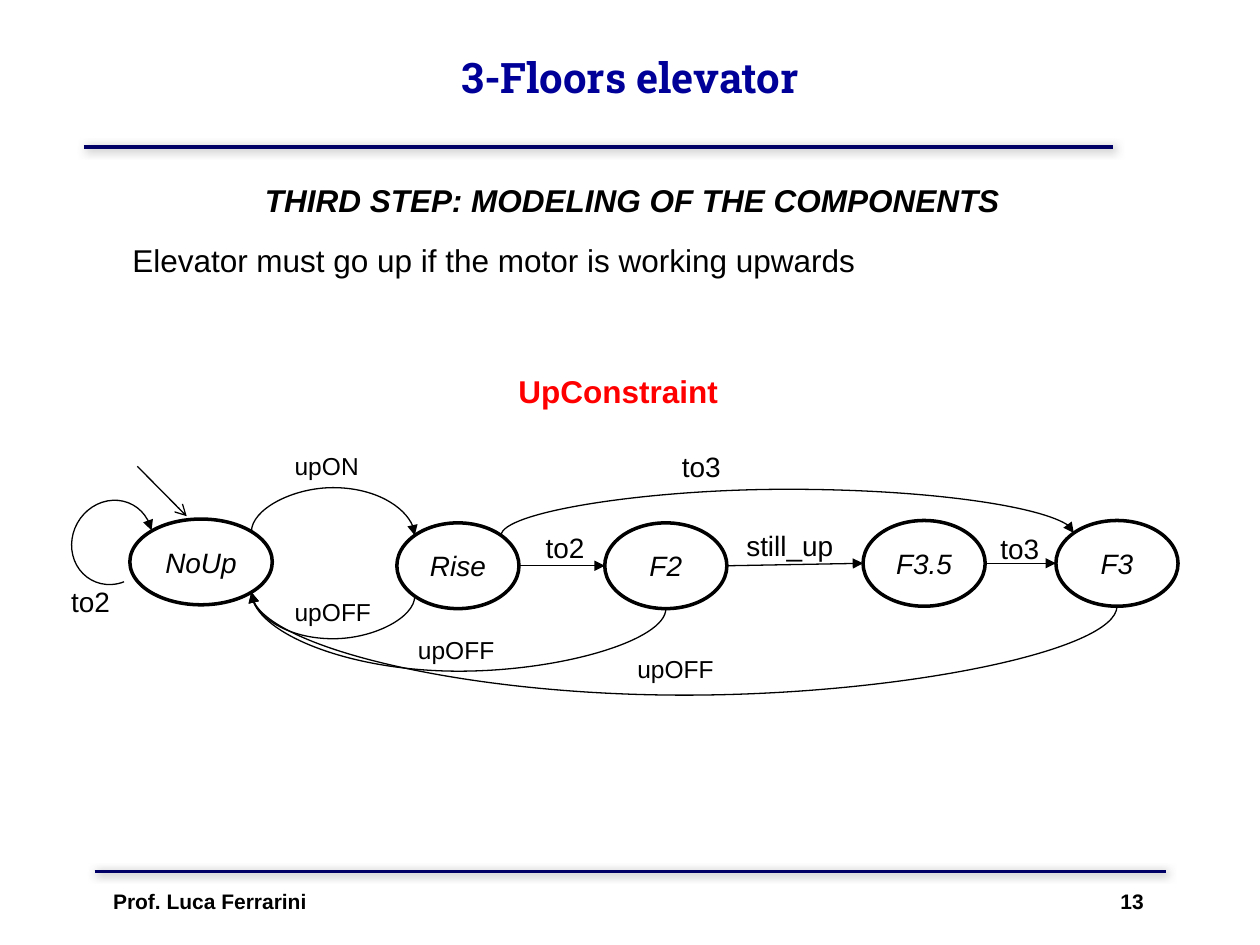
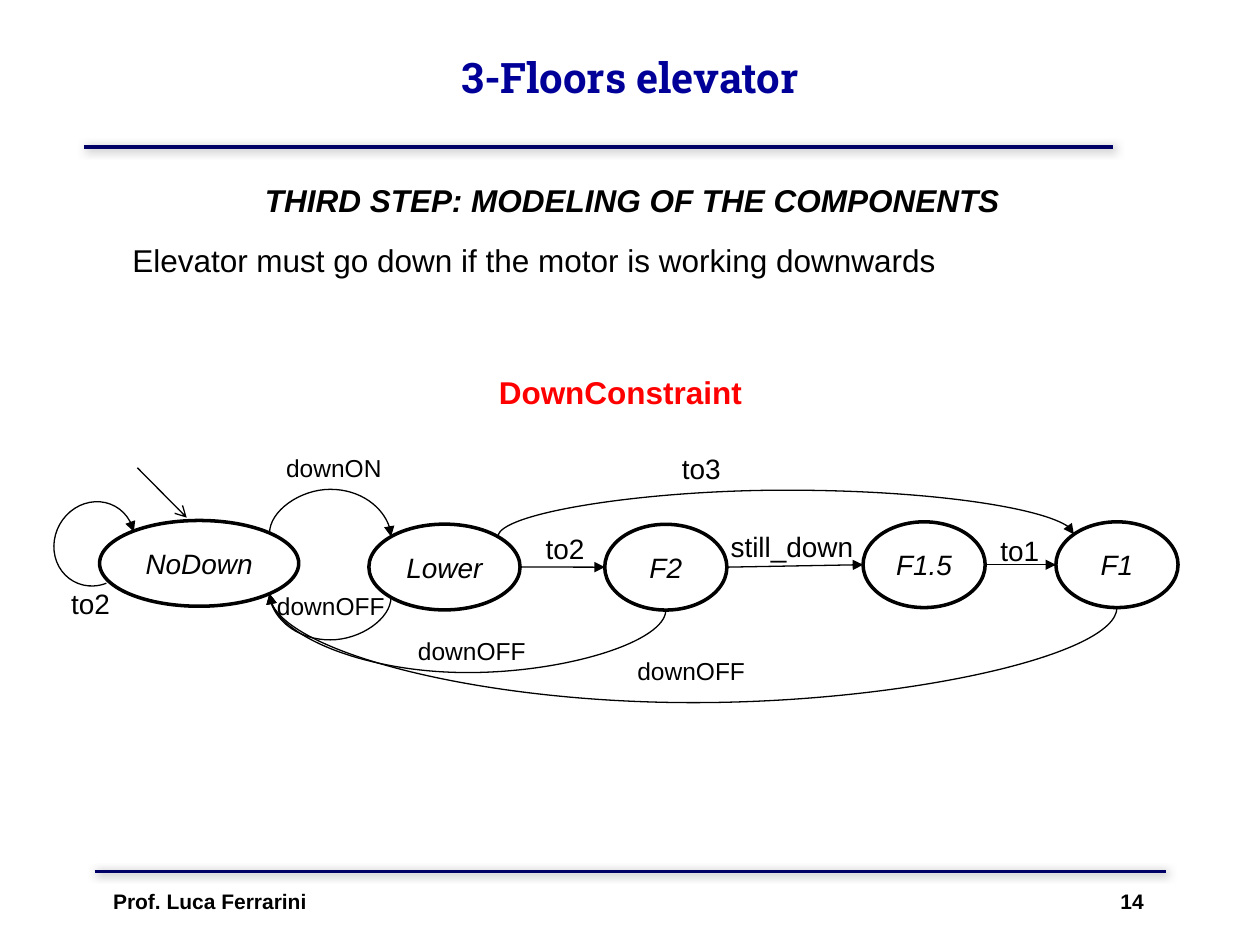
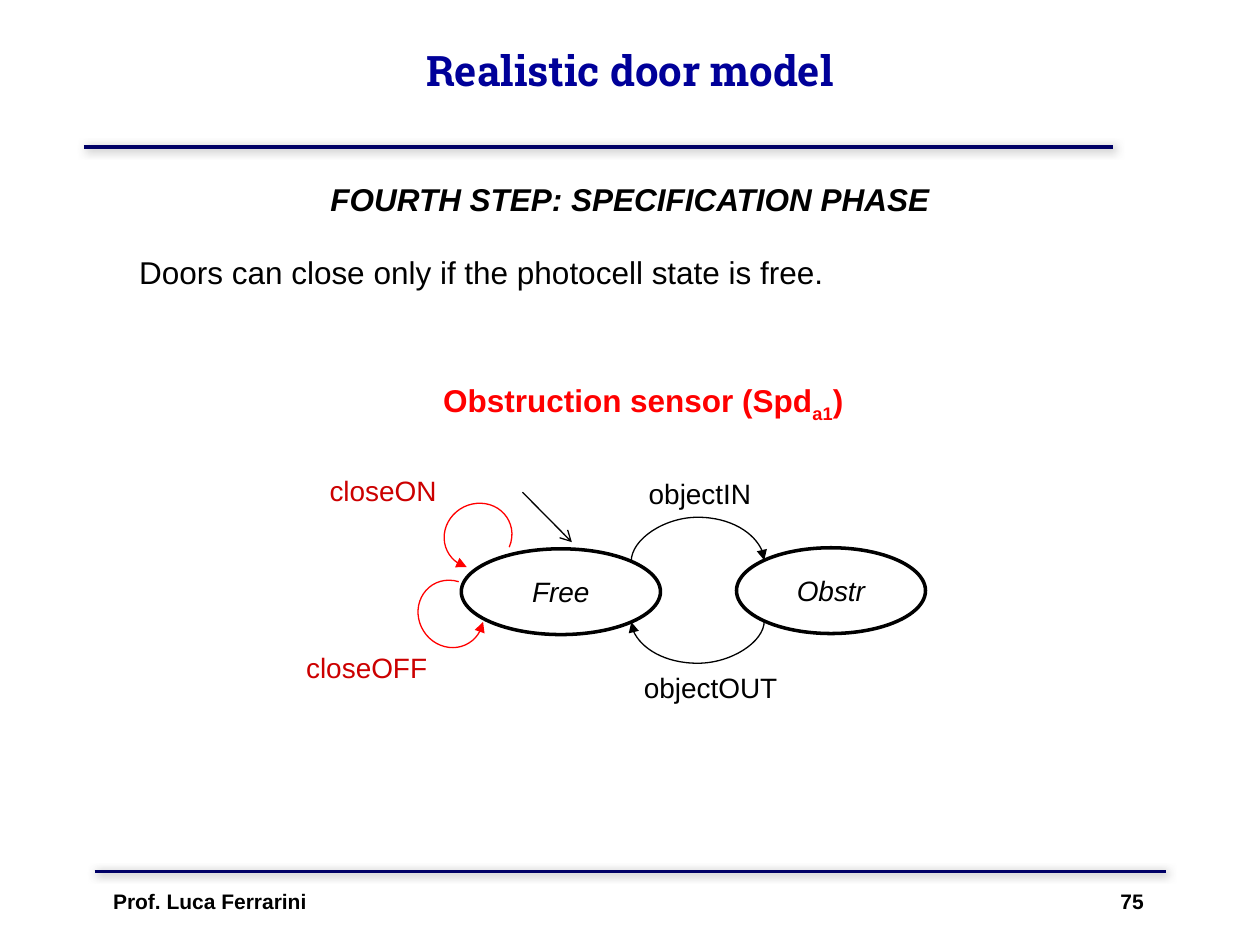
from dataclasses import dataclass

import pptx
import pptx.dml.color
import pptx.enum.shapes
import pptx.enum.text
import pptx.oxml
import pptx.oxml.ns
import pptx.util

Pt = pptx.util.Pt
qn = pptx.oxml.ns.qn
ALIGN = pptx.enum.text.PP_ALIGN
CONNECTOR = pptx.enum.shapes.MSO_CONNECTOR
SHAPE = pptx.enum.shapes.MSO_SHAPE

COLORS = {
    "title": "000099", "band": "000066", "ink": "000000", "paper": "FFFFFF",
    "heading": "FF0000", "loop": "FF0000", "loop_label": "CC0000", "shadow": "808080",
}
BODY_FONT, TITLE_FONT = "Arial", "Roboto Slab"
NODE_HEIGHT = 49
DIAGONAL = 0.5 ** 0.5
SIDES = {
    "left": (-1, 0), "right": (1, 0), "bottom": (0, 1),
    "top left": (-DIAGONAL, -DIAGONAL), "top right": (DIAGONAL, -DIAGONAL),
    "bottom left": (-DIAGONAL, DIAGONAL), "bottom right": (DIAGONAL, DIAGONAL),
}
SHADOW = (
    '<a:effectLst xmlns:a="http://schemas.openxmlformats.org/drawingml/2006/main">'
    '<a:outerShdw blurRad="63500" dist="17780" dir="2700000">'
    f'<a:srgbClr val="{COLORS["shadow"]}"><a:alpha val="75000"/></a:srgbClr>'
    '</a:outerShdw></a:effectLst>'
)


@dataclass
class Label:
    words: str
    left: float
    top: float
    width: float
    size: float = 16
    height: float = 27
    color: str = "ink"
    bold: bool = False
    italic: bool = False
    centered: bool = True
    subscript: str = ""
    ending: str = ""
    font: str = BODY_FONT
    middle: bool = False


@dataclass
class State:
    name: str
    left: float
    top: float
    width: float

    def site(self, side: str) -> tuple[float, float]:
        """Point where a line meets the ellipse."""
        across, down = SIDES[side]
        return (self.left + self.width / 2 * (1 + across),
                self.top + NODE_HEIGHT / 2 * (1 + down))


@dataclass
class Step:
    """Straight transition to the next state on the right."""
    source: State
    target: State


@dataclass
class Bend:
    """Curved transition that swings out to the height `reach`."""
    source: State
    source_side: str
    target: State
    target_side: str
    reach: float


@dataclass
class Loop:
    left: float
    top: float
    width: float
    height: float
    turn: float
    color: str = "ink"
    mirrored: bool = False


@dataclass
class Machine:
    title: Label
    number: int
    texts: list[Label]
    states: list[State]
    entry: tuple[float, float]
    steps: list[Step]
    bends: list[Bend]
    loops: list[Loop]


def rgb(name: str) -> pptx.dml.color.RGBColor:
    return pptx.dml.color.RGBColor.from_string(COLORS[name])


# Text

def style(para, label: Label) -> None:
    para.alignment = ALIGN.CENTER if label.centered else ALIGN.LEFT
    font = para.font
    font.name, font.size = label.font, Pt(label.size)
    font.bold, font.italic = label.bold, label.italic
    font.color.rgb = rgb(label.color)


def draw_label(page, label: Label):
    box = page.shapes.add_textbox(
        Pt(label.left), Pt(label.top), Pt(label.width), Pt(label.height))
    frame = box.text_frame
    frame.word_wrap = True
    if label.middle:
        frame.vertical_anchor = pptx.enum.text.MSO_ANCHOR.MIDDLE
    para = frame.paragraphs[0]
    para.add_run().text = label.words
    if label.subscript:
        span = para.add_run()
        span.text = label.subscript
        span._r.get_or_add_rPr().set("baseline", "-25000")
        para.add_run().text = label.ending
    style(para, label)
    return box


# Lines

def add_arrow(shape, end: str, kind: str) -> None:
    stroke = shape._element.spPr.find(qn("a:ln"))
    stroke.append(stroke.makeelement(qn(f"a:{end}"), {"type": kind}))


def draw_line(page, start, finish, color="ink", width=0.75, arrow="", kind=CONNECTOR.STRAIGHT):
    line = page.shapes.add_connector(kind, *(Pt(value) for value in (*start, *finish)))
    line.line.color.rgb = rgb(color)
    line.line.width = Pt(width)
    if arrow:
        add_arrow(line, "tailEnd", arrow)
    properties = line._element.spPr
    if color == "band":
        properties.append(pptx.oxml.parse_xml(SHADOW))
    else:
        properties.append(properties.makeelement(qn("a:effectLst"), {}))
    return line


def draw_bend(page, bend: Bend) -> None:
    x1, y1 = start = bend.source.site(bend.source_side)
    x2, y2 = finish = bend.target.site(bend.target_side)
    line = draw_line(page, start, finish, arrow="triangle", kind=CONNECTOR.CURVE)
    # The preset runs sideways, so its frame is laid out and then turned a quarter
    length, breadth = abs(y2 - y1), abs(x2 - x1)
    line.left, line.top = Pt((x1 + x2 - length) / 2), Pt((y1 + y2 - breadth) / 2)
    line.width, line.height = Pt(length), Pt(breadth)
    frame = line._element.spPr.find(qn("a:xfrm"))
    frame.set("rot", "5400000")
    frame.set("flipH", str(int(y2 < y1)))
    frame.set("flipV", str(int(x1 < x2)))
    guides = line._element.spPr.find(qn("a:prstGeom")).get_or_add_avLst()
    amount = round((bend.reach - y1) / (y2 - y1) * 100000)
    guides.append(guides.makeelement(qn("a:gd"), {"name": "adj1", "fmla": f"val {amount}"}))


def draw_loop(page, loop: Loop) -> None:
    arc = page.shapes.add_shape(
        SHAPE.ARC, Pt(loop.left), Pt(loop.top), Pt(loop.width), Pt(loop.height))
    arc.adjustments[0], arc.adjustments[1] = 81.6, 27.6
    arc.rotation = loop.turn
    arc.shadow.inherit = False
    arc.fill.background()
    arc.line.color.rgb = rgb(loop.color)
    arc.line.width = Pt(0.75)
    add_arrow(arc, "headEnd", "triangle")
    if loop.mirrored:
        arc._element.spPr.find(qn("a:xfrm")).set("flipH", "1")


# States

def draw_state(page, state: State) -> None:
    oval = page.shapes.add_shape(
        SHAPE.OVAL, Pt(state.left), Pt(state.top), Pt(state.width), Pt(NODE_HEIGHT))
    oval.shadow.inherit = False
    oval.fill.solid()
    oval.fill.fore_color.rgb = rgb("paper")
    oval.line.color.rgb = rgb("ink")
    oval.line.width = Pt(2)
    frame = oval.text_frame
    frame.word_wrap = False
    frame.vertical_anchor = pptx.enum.text.MSO_ANCHOR.MIDDLE
    frame.text = state.name
    style(frame.paragraphs[0], Label(state.name, 0, 0, 0, italic=True))


# Shared page parts

def title(words: str, top: float) -> Label:
    return Label(words, 54, top, 612, 24, 90, "title", bold=True, font=TITLE_FONT, middle=True)


def step_heading(words: str, left: float, top: float) -> Label:
    return Label(words, left, top, 622, 18, 29, bold=True, italic=True)


def statement(words: str, left: float, top: float) -> Label:
    return Label(words, left, top, 600, 18, 29, centered=False)


def machine_name(words: str, left: float, top: float, width: float, *tail: str) -> Label:
    return Label(words, left, top, width, 18, 29, "heading", True, False, False, *tail)


def draw_footer(page, number: int) -> None:
    footer = draw_label(page, Label(
        f"Prof. Luca Ferrarini\t{number}", 24, 504, 672, 12, 36, bold=True, centered=False))
    footer.text_frame.margin_left = Pt(40.6)
    properties = footer.text_frame.paragraphs[0]._p.get_or_add_pPr()
    stops = properties.makeelement(qn("a:tabLst"), {})
    stops.append(stops.makeelement(qn("a:tab"), {"pos": str(Pt(589)), "algn": "r"}))
    properties.find(qn("a:defRPr")).addprevious(stops)


def draw_page(deck, machine: Machine) -> None:
    page = deck.slides.add_slide(deck.slide_layouts[6])
    draw_line(page, (48, 84), (636, 84), "band", 2.25)
    draw_line(page, (54, 498), (666, 498), "band", 2.25)
    draw_footer(page, machine.number)
    draw_label(page, machine.title)
    for state in machine.states:
        draw_state(page, state)
    left, top = machine.entry
    draw_line(page, (left, top), (left + 28.2, top + 28.5), arrow="arrow")
    for step in machine.steps:
        draw_line(page, step.source.site("right"), step.target.site("left"), arrow="triangle")
    for bend in machine.bends:
        draw_bend(page, bend)
    for loop in machine.loops:
        draw_loop(page, loop)
    for label in machine.texts:
        draw_label(page, label)


# Slide content

def elevator(number: int, way: str, goal: Label, name: Label, idle: State, moving: State,
             floors: tuple[str, str], last_step: str, on: tuple[float, float],
             off: tuple[float, float], still: Label, loop_left: float,
             deepest: float, shift: float) -> Machine:
    """Constraint on one travel direction; `shift` lowers the whole diagram."""
    second = State("F2", 345.6, 298.8 + shift, 69.8)
    between = State(floors[0], 493.2, 297.4 + shift, 69.8)
    last = State(floors[1], 603.4, 297.4 + shift, 69.8)
    events = [
        Label(f"{way}ON", *on, 72, 14, centered=False),
        Label(f"{way}OFF", *off, 81.4, 14, centered=False),
        Label(f"{way}OFF", 231.8, 359.3 + shift, 81.4, 14, centered=False),
        Label(f"{way}OFF", 357.1, 370.4 + shift, 81.4, 14, centered=False),
        Label("to2", 29.5, 330.6 + shift, 44.6),
        Label("to2", 301.7, 299.6 + shift, 42.5),
        Label("to3", 380.9, 253.4 + shift, 39.6),
        Label(last_step, 563, 300.3 + shift, 39.6),
        still,
    ]
    return Machine(
        title("3-Floors elevator", -1.4), number,
        [step_heading("THIRD STEP: MODELING OF THE COMPONENTS", 50.4, 100.1), goal, name, *events],
        [idle, moving, second, between, last], (78.5, 266.5 + shift),
        [Step(moving, second), Step(second, between), Step(between, last)],
        [
            Bend(idle, "top right", moving, "top left", 278.8 + shift),
            Bend(moving, "bottom left", idle, "bottom right", 364.9 + shift),
            Bend(second, "bottom", idle, "bottom right", 383.5 + shift),
            Bend(last, "bottom", idle, "bottom right", deepest),
            Bend(moving, "top right", last, "top left", 279.4 + shift),
        ],
        [Loop(loop_left, 287.3 + shift, 49, 45.4, 299.1, mirrored=True)],
    )


def door() -> Machine:
    free = State("Free", 263.6, 313.6, 113.8)
    blocked = State("Obstr", 420.9, 313, 108)
    return Machine(
        title("Realistic door model", -5), 75,
        [
            step_heading("FOURTH STEP: SPECIFICATION PHASE", 49, 99.2),
            statement("Doors can close only if the photocell state is free.", 72.4, 141),
            machine_name("Obstruction sensor (Spd", 246.2, 214.2, 310, "a1", ")"),
            Label("closeON", 172.8, 267.1, 92.2, color="loop_label"),
            Label("closeOFF", 163.4, 367.9, 92.2, color="loop_label"),
            Label("objectIN", 360, 268.6, 79.9),
            Label("objectOUT", 360, 379.4, 92.2),
        ],
        [free, blocked], (298.6, 281.3), [],
        [
            Bend(free, "top right", blocked, "top left", 295.4),
            Bend(blocked, "bottom left", free, "bottom right", 379.2),
        ],
        [
            Loop(253.6, 287.8, 39.2, 36.8, 334, "loop"),
            Loop(238, 332.4, 39.2, 36.8, 237.8, "loop"),
        ],
    )


def main() -> None:
    deck = pptx.Presentation()
    deck.slide_width, deck.slide_height = Pt(720), Pt(540)
    draw_page(deck, elevator(
        13, "up", statement("Elevator must go up if the motor is working upwards", 68.5, 134),
        machine_name("UpConstraint", 289.2, 208.8, 137),
        State("NoUp", 74.2, 296.6, 81.4), State("Rise", 226.8, 298.8, 69.8),
        ("F3.5", "F3"), "to3", (161.3, 254.2), (161.3, 337.7),
        Label("still_up", 419.4, 298.5, 69, centered=False), 39.6, 397.3, 0))
    draw_page(deck, elevator(
        14, "down", statement("Elevator must go down if the motor is working downwards", 68.5, 134),
        machine_name("DownConstraint", 278, 209.5, 164),
        State("NoDown", 56.9, 297.4, 113.8), State("Lower", 210.8, 299.5, 86.4),
        ("F1.5", "F1"), "to1", (156.4, 255.4), (151.2, 334.2),
        Label("still_down", 410.4, 298.8, 93, centered=False), 29.5, 401.6, 0.8))
    draw_page(deck, door())
    deck.save("out.pptx")


if __name__ == "__main__":
    main()
